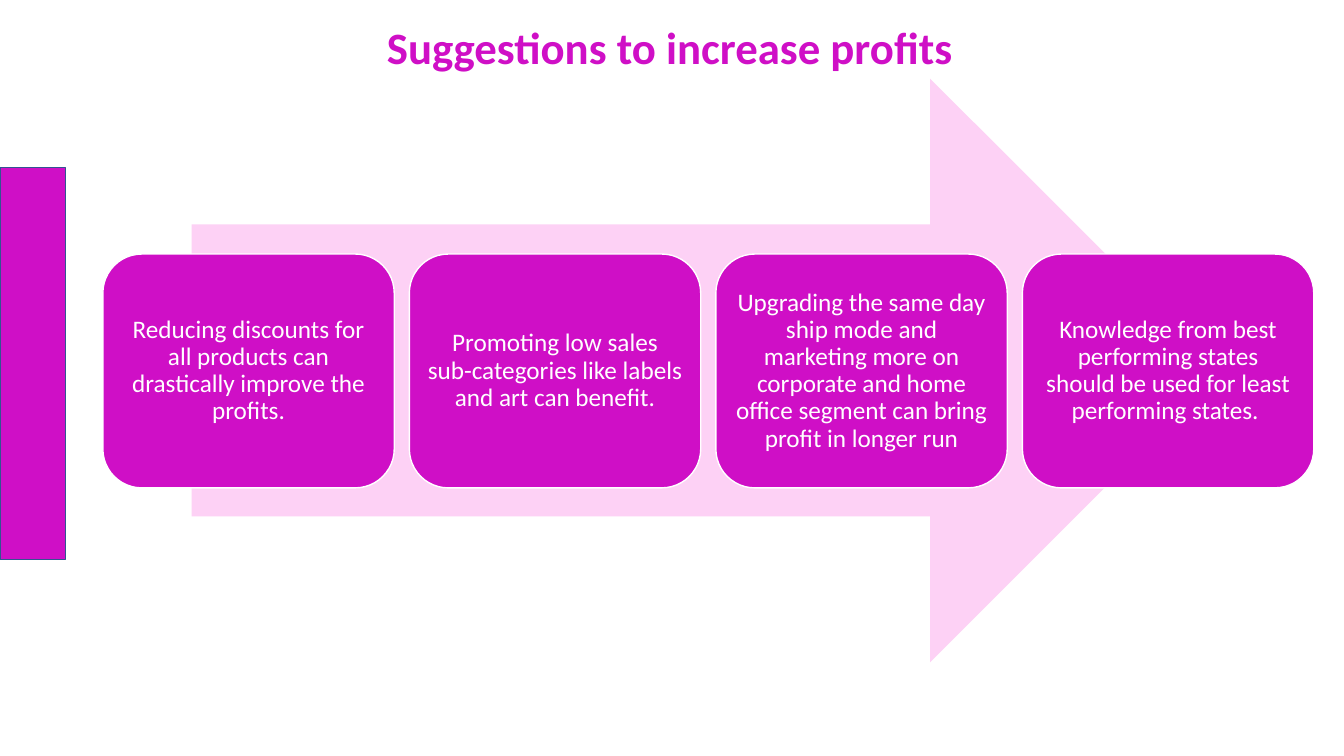
from dataclasses import dataclass

from pptx import Presentation
from pptx.dml.color import RGBColor
from pptx.enum.shapes import MSO_SHAPE as Shape
from pptx.enum.text import MSO_ANCHOR as Anchor, PP_ALIGN as Align
from pptx.util import Emu, Pt

PX = 9144  # EMU per px, 100 px to the inch
TITLE_ONLY = 5

TITLE = "Suggestions to increase profits"
SUGGESTIONS = [
    "Reducing discounts for all products can drastically improve the profits.",
    "Promoting low sales sub-categories like labels and art can benefit.",
    "Upgrading the same day ship mode and marketing more on corporate "
    "and home office segment can bring profit in longer run",
    "Knowledge from best performing states should be used for least "
    "performing states. ",
]
CARD_LEFT, CARD_TOP, CARD_WIDTH, CARD_HEIGHT = 102, 252, 289, 232
CARD_PITCH = 304


@dataclass(frozen=True)
class Theme:
    font: str = "Calibri"
    accent: str = "CF0FC6"
    pale: str = "FDD1F5"
    white: str = "FFFFFF"
    bar_line: str = "325491"
    title_size: int = 32
    card_size: int = 18


def px(length):
    return Emu(length * PX)


def rgb(code):
    return RGBColor.from_string(code)


def write(frame, text, *, font, size, color, bold=False, spacing=1.0, inset=(10, 5)):
    """Fill a text frame with one centred paragraph; inset is (sides, top and bottom) in px."""
    frame.word_wrap = True
    frame.vertical_anchor = Anchor.MIDDLE
    frame.margin_left = frame.margin_right = px(inset[0])
    frame.margin_top = frame.margin_bottom = px(inset[1])
    para = frame.paragraphs[0]
    para.alignment = Align.CENTER
    para.line_spacing = spacing
    span = para.add_run()
    span.text = text
    span.font.name = font
    span.font.size = Pt(size)
    span.font.bold = bold
    span.font.color.rgb = rgb(color)


class Page:
    def __init__(self, deck, theme):
        self.theme = theme
        self.slide = deck.slides.add_slide(deck.slide_layouts[TITLE_ONLY])

    def title(self, text, left, top, width, height):
        box = self.slide.shapes.title
        box.left, box.top, box.width, box.height = map(px, (left, top, width, height))
        write(box.text_frame, text, font=self.theme.font, size=self.theme.title_size,
              color=self.theme.accent, bold=True)

    def block(self, kind, left, top, width, height, *, fill, line=None):
        box = self.slide.shapes.add_shape(kind, *map(px, (left, top, width, height)))
        box.shadow.inherit = False
        box.fill.solid()
        box.fill.fore_color.rgb = rgb(fill)
        if line:
            box.line.color.rgb = rgb(line)
            box.line.width = Pt(1)
        else:
            box.line.fill.background()
        return box

    def card(self, text, left, top, width, height):
        box = self.block(Shape.ROUNDED_RECTANGLE, left, top, width, height,
                         fill=self.theme.accent, line=self.theme.white)
        write(box.text_frame, text, font=self.theme.font, size=self.theme.card_size,
              color=self.theme.white, spacing=0.9, inset=(7, 7))


def main():
    deck = Presentation()
    deck.slide_width, deck.slide_height = px(1333), px(750)
    theme = Theme()
    page = Page(deck, theme)
    page.title(TITLE, -2, 14, 1333, 64)
    page.block(Shape.RECTANGLE, 0, 166, 65, 389, fill=theme.accent, line=theme.bar_line)
    page.block(Shape.RIGHT_ARROW, 190, 78, 1022, 579, fill=theme.pale)
    for index, suggestion in enumerate(SUGGESTIONS):
        page.card(suggestion, CARD_LEFT + index * CARD_PITCH, CARD_TOP,
                  CARD_WIDTH, CARD_HEIGHT)
    deck.save("out.pptx")


if __name__ == "__main__":
    main()
